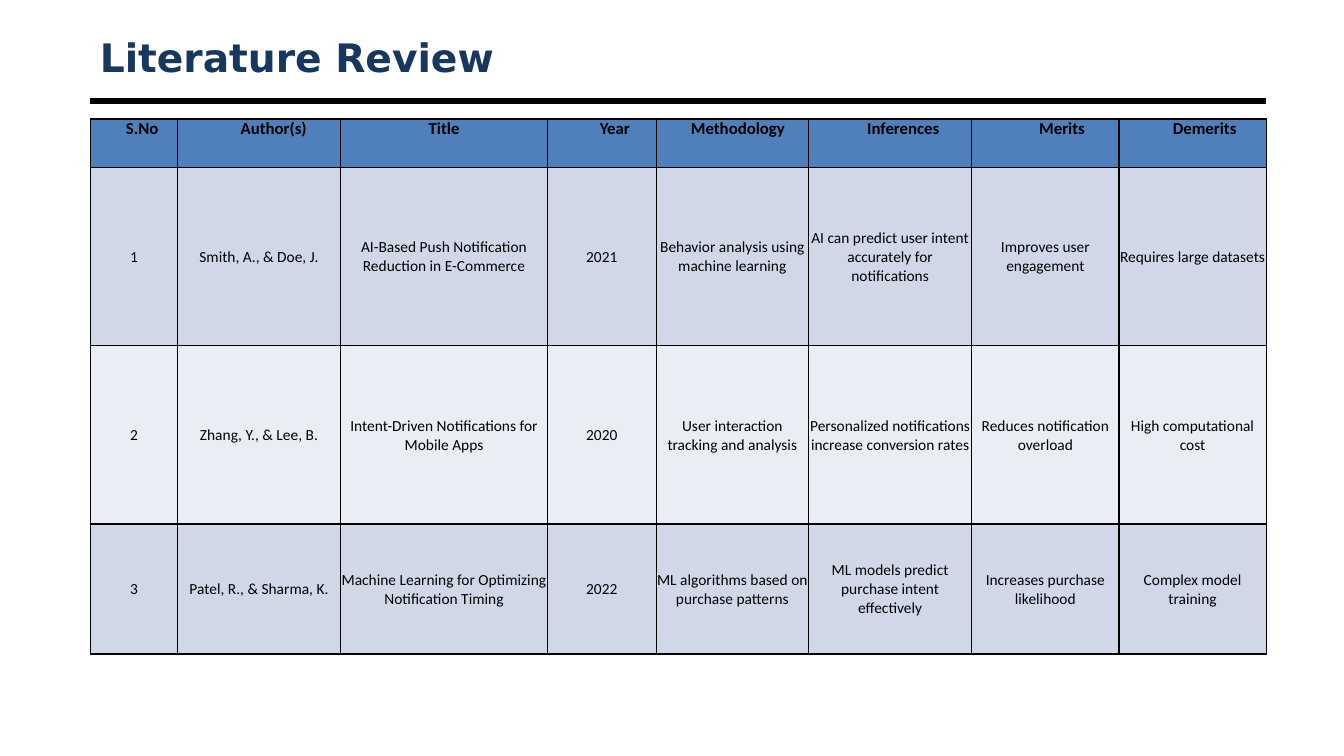
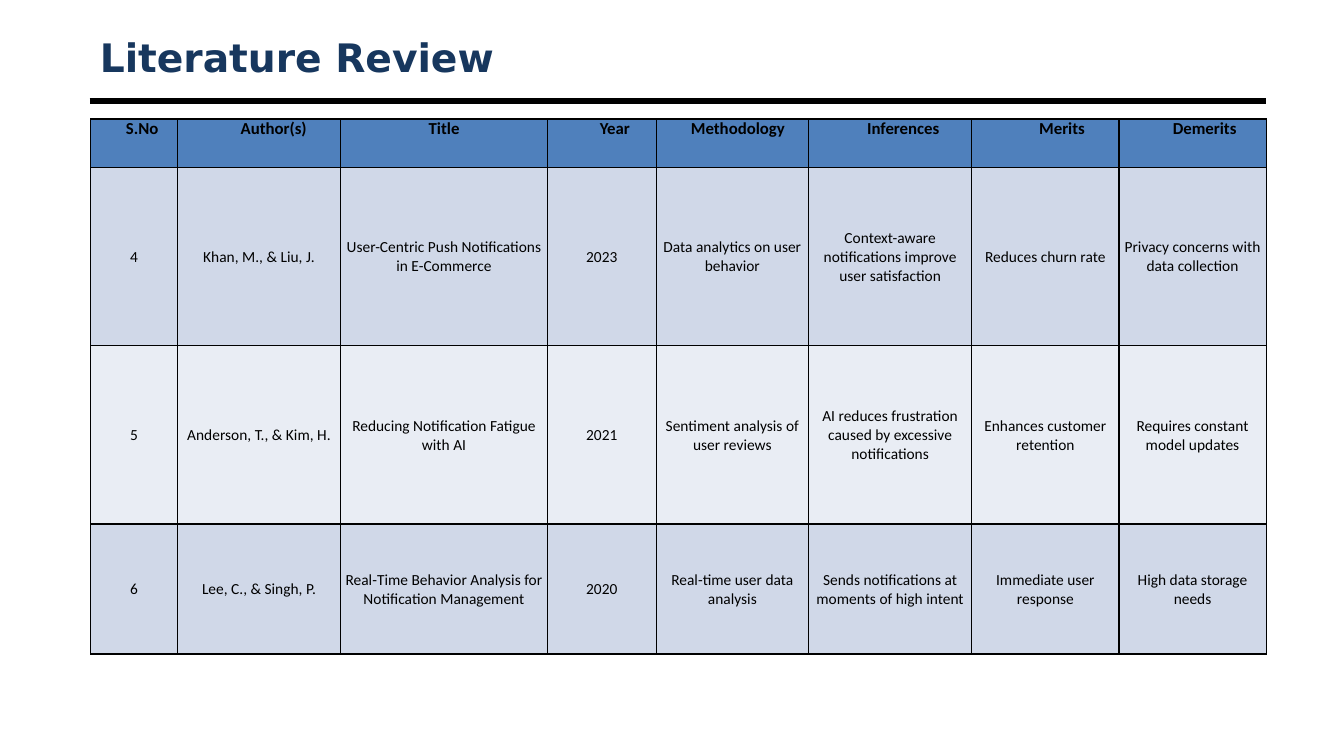
from pptx import Presentation
from pptx.dml.color import RGBColor
from pptx.enum.shapes import MSO_CONNECTOR
from pptx.enum.text import MSO_ANCHOR, PP_ALIGN
from pptx.oxml.ns import qn
from pptx.util import Inches, Pt
from lxml.etree import SubElement

NAVY, BLACK = "17375E", "000000"
HEADER_BLUE, BAND_DARK, BAND_LIGHT = "4F80BC", "D0D8E8", "E9EDF4"
TITLE_FONT, TABLE_FONT = "DejaVu Sans", "Calibri"
LEFT, CONTENT_WIDTH = 0.89, 11.67

# heading, column width, heading indent
COLUMNS = [
    ("S.No", 0.86, 0.16),
    ("Author(s)", 1.62, 0.29),
    ("Title", 2.05, 0),
    ("Year", 1.08, 0.26),
    ("Methodology", 1.51, 0.11),
    ("Inferences", 1.62, 0.26),
    ("Merits", 1.46, 0.33),
    ("Demerits", 1.46, 0.24),
]
ROW_HEIGHTS = [0.48, 1.77, 1.77, 1.29]

PAPERS_PER_SLIDE = 3
PAPERS = [
    ("Smith, A., & Doe, J.", "AI-Based Push Notification Reduction in E-Commerce", "2021",
     "Behavior analysis using machine learning",
     "AI can predict user intent accurately for notifications",
     "Improves user engagement", "Requires large datasets"),
    ("Zhang, Y., & Lee, B.", "Intent-Driven Notifications for Mobile Apps", "2020",
     "User interaction tracking and analysis",
     "Personalized notifications increase conversion rates",
     "Reduces notification overload", "High computational cost"),
    ("Patel, R., & Sharma, K.", "Machine Learning for Optimizing Notification Timing", "2022",
     "ML algorithms based on purchase patterns",
     "ML models predict purchase intent effectively",
     "Increases purchase likelihood", "Complex model training"),
    ("Khan, M., & Liu, J.", "User-Centric Push Notifications in E-Commerce", "2023",
     "Data analytics on user behavior",
     "Context-aware notifications improve user satisfaction",
     "Reduces churn rate", "Privacy concerns with data collection"),
    ("Anderson, T., & Kim, H.", "Reducing Notification Fatigue with AI", "2021",
     "Sentiment analysis of user reviews",
     "AI reduces frustration caused by excessive notifications",
     "Enhances customer retention", "Requires constant model updates"),
    ("Lee, C., & Singh, P.", "Real-Time Behavior Analysis for Notification Management", "2020",
     "Real-time user data analysis",
     "Sends notifications at moments of high intent",
     "Immediate user response", "High data storage needs"),
]


def color(hex_code):
    return RGBColor.from_string(hex_code)


def add_run(paragraph, text, font, size, hex_code, bold=False):
    run = paragraph.add_run()
    run.text = text
    run.font.name = font
    run.font.size = Pt(size)
    run.font.bold = bold
    run.font.color.rgb = color(hex_code)


def add_title(slide, text):
    title = slide.shapes.title
    title.left, title.top = Inches(LEFT), Inches(0.3)
    title.width, title.height = Inches(CONTENT_WIDTH), Inches(0.53)
    title.text_frame.vertical_anchor = MSO_ANCHOR.MIDDLE
    heading = title.text_frame.paragraphs[0]
    heading.alignment = PP_ALIGN.LEFT
    add_run(heading, text, TITLE_FONT, 28, NAVY, bold=True)


def add_title_rule(slide):
    rule = slide.shapes.add_connector(
        MSO_CONNECTOR.STRAIGHT, Inches(LEFT), Inches(1),
        Inches(LEFT + CONTENT_WIDTH), Inches(1))
    rule.line.color.rgb = color(BLACK)
    rule.line.width = Pt(4.5)
    SubElement(rule._element.spPr, qn("a:effectLst"))


def set_borders(cell, hex_code, width):
    """Outline all four sides; borders must precede the cell's fill in the XML."""
    properties = cell._tc.get_or_add_tcPr()
    for position, side in enumerate(("lnL", "lnR", "lnT", "lnB")):
        border = SubElement(properties, qn(f"a:{side}"), w=str(Pt(width)))
        fill = SubElement(border, qn("a:solidFill"))
        SubElement(fill, qn("a:srgbClr"), val=hex_code)
        properties.insert(position, border)


def style_cell(cell, fill, anchor, top_margin=0):
    cell.fill.solid()
    cell.fill.fore_color.rgb = color(fill)
    set_borders(cell, BLACK, 1)
    cell.vertical_anchor = anchor
    cell.margin_left = cell.margin_right = cell.margin_bottom = 0
    cell.margin_top = Inches(top_margin)
    cell.text_frame.paragraphs[0].alignment = PP_ALIGN.CENTER


def fill_header_cell(cell, heading, indent):
    style_cell(cell, HEADER_BLUE, MSO_ANCHOR.TOP)
    paragraph = cell.text_frame.paragraphs[0]
    paragraph._p.get_or_add_pPr().set("marL", str(Inches(indent)))
    add_run(paragraph, heading, TABLE_FONT, 12, BLACK, bold=True)


def fill_body_cell(cell, text, band):
    style_cell(cell, band, MSO_ANCHOR.MIDDLE, top_margin=0.01)
    add_run(cell.text_frame.paragraphs[0], text, TABLE_FONT, 11, BLACK)


def add_review_table(slide, papers, first_number):
    widths = [width for _, width, _ in COLUMNS]
    table = slide.shapes.add_table(
        len(papers) + 1, len(COLUMNS), Inches(0.9), Inches(1.18),
        Inches(sum(widths)), Inches(sum(ROW_HEIGHTS))).table
    for row, height in zip(table.rows, ROW_HEIGHTS):
        row.height = Inches(height)
    for index, (heading, width, indent) in enumerate(COLUMNS):
        table.columns[index].width = Inches(width)
        fill_header_cell(table.cell(0, index), heading, indent)
    for row, paper in enumerate(papers, start=1):
        band = BAND_DARK if row % 2 else BAND_LIGHT
        number = str(first_number + row - 1)
        for column, text in enumerate((number, *paper)):
            fill_body_cell(table.cell(row, column), text, band)


def main():
    deck = Presentation()
    deck.slide_width, deck.slide_height = Inches(13.33), Inches(7.5)
    title_only = deck.slide_layouts[5]
    for start in range(0, len(PAPERS), PAPERS_PER_SLIDE):
        slide = deck.slides.add_slide(title_only)
        add_title_rule(slide)
        add_title(slide, "Literature Review")
        add_review_table(slide, PAPERS[start:start + PAPERS_PER_SLIDE], start + 1)
    deck.save("out.pptx")


if __name__ == "__main__":
    main()
